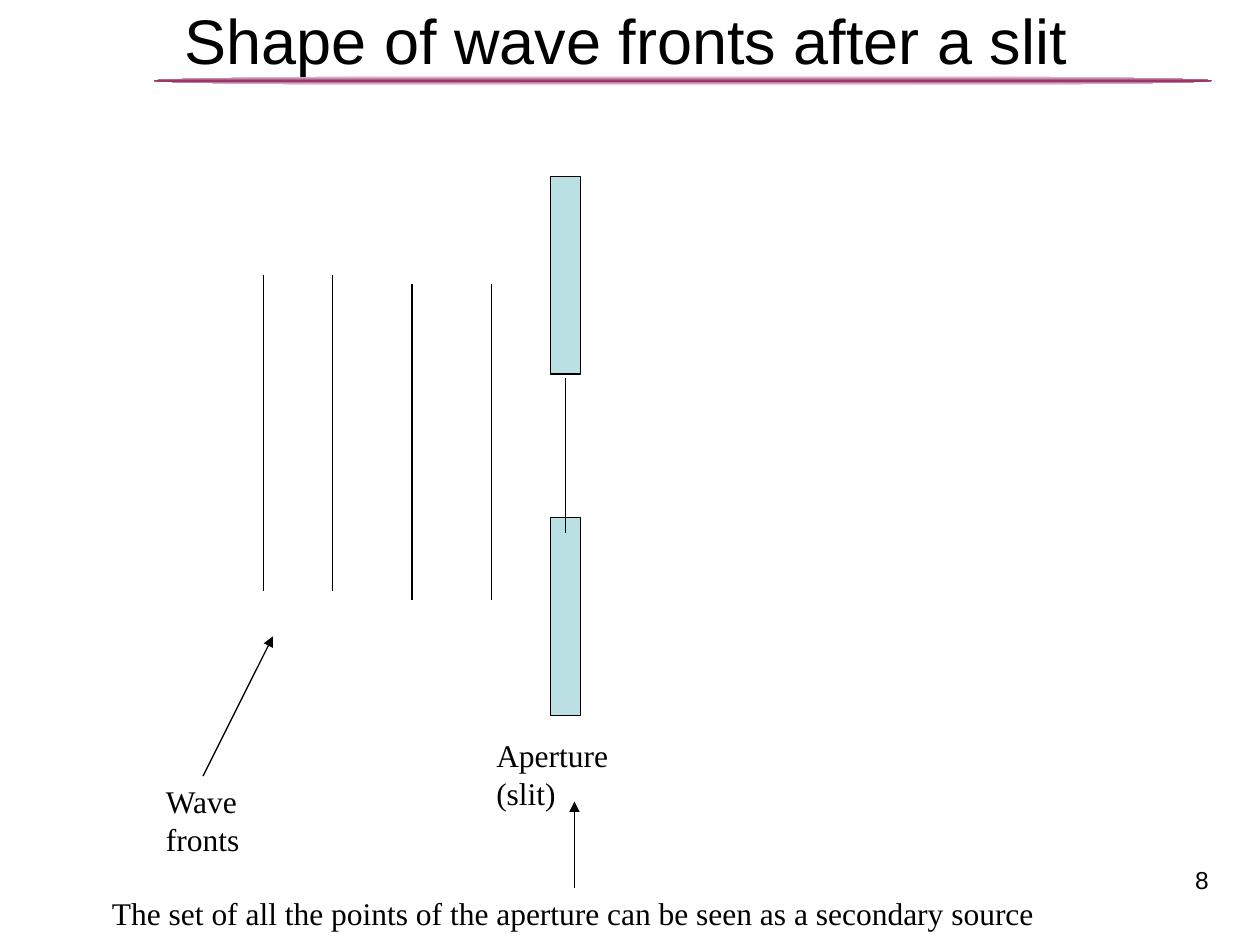
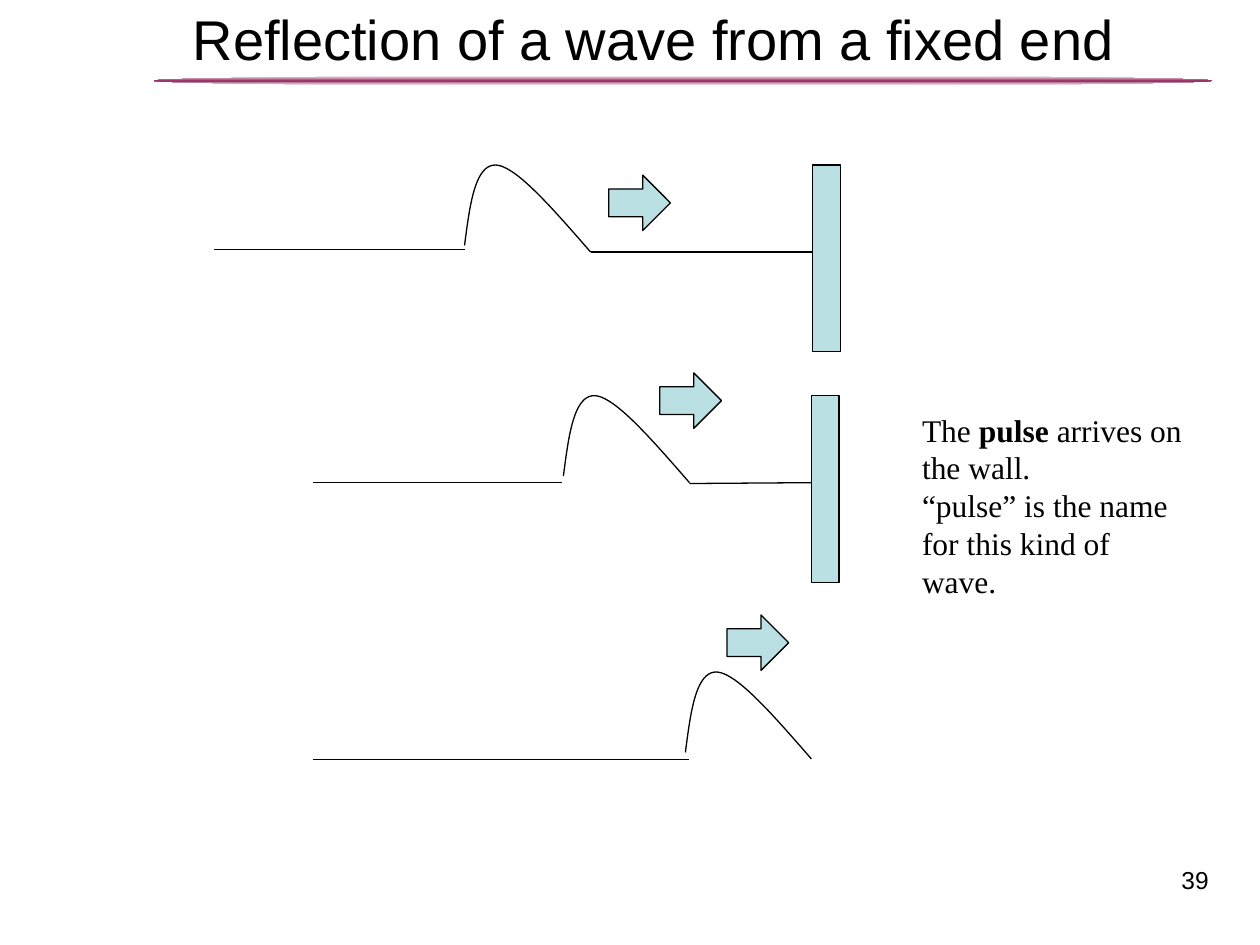
import copy
import pptx
import pptx.util
import pptx.dml.color
import pptx.enum.shapes
import pptx.enum.text
import lxml.etree
import pptx.oxml.ns

Pt = pptx.util.Pt
RGB = pptx.dml.color.RGBColor
KIND = pptx.enum.shapes.MSO_SHAPE
ALIGN = pptx.enum.text.PP_ALIGN
BLACK = RGB(0, 0, 0)
WHITE = RGB(255, 255, 255)
PLUM = RGB(0x99, 0x33, 0x66)
AQUA = RGB(0xBB, 0xE0, 0xE3)
SANS, SERIF = "Arial", "Times New Roman"

SLIT = {
    "title": "Shape of wave fronts after a slit",
    "place": (33.8, -2.9, 36),
    "page": "8",
    "fronts": [(150.5, 157), (190, 157), (235.5, 162), (281, 162)],
    "notes": [
        ("Aperture (slit)", 276.5, 416.9, 95),
        ("Wave fronts", 87.8, 443.5, 80),
        ("The set of all the points of the aperture can be seen as a secondary source",
         56.9, 507.6, 556),
    ],
    "arrows": [(116, 443.5, 156, 363.6), (328.3, 507.6, 328.3, 458)],
}
PULSE = {
    "title": "Reflection of a wave from a fixed end",
    "place": (49.7, -0.7, 32),
    "page": "39",
    "stages": [
        {"pulse": (265.5, 94.3), "rope": (122.4, 265.5, 142.6),
         "rest": (337.5, 144, 480, 144), "wall": 464.4, "arrow": (347.8, 100.1)},
        {"pulse": (322, 226.1), "rope": (178.6, 321.1, 275.8),
         "rest": (394, 276.3, 466.6, 275.8), "wall": 463.7, "arrow": (377, 213.1)},
        {"pulse": (391.7, 384), "rope": (178.6, 394, 434.2),
         "rest": None, "wall": None, "arrow": (415.4, 351.4)},
    ],
    "note": [[("The ", False), ("pulse", True), (" arrives on the wall.", False)],
             [("“pulse” is the name for this kind of wave.", False)]],
}
CURVES = [
    [(0, 46), (3, 22.5), (6, -0.5), (18, 0)],
    [(18, 0), (29.5, 0.7), (50.5, 25), (72, 49.7)],
]
STEPS = 20


def style(para, size, face, align=ALIGN.LEFT):
    para.alignment = align
    for run in para.runs:
        run.font.size = Pt(size)
        run.font.name = face
        run.font.color.rgb = BLACK


def write(slide, text, left, top, width, height, size, face, align=ALIGN.LEFT):
    box = slide.shapes.add_textbox(Pt(left), Pt(top), Pt(width), Pt(height))
    frame = box.text_frame
    frame.word_wrap = True
    frame.text = text
    style(frame.paragraphs[0], size, face, align)
    return frame


def line(slide, left, top, right, base, arrow=False):
    link = slide.shapes.add_connector(
        pptx.enum.shapes.MSO_CONNECTOR.STRAIGHT, Pt(left), Pt(top), Pt(right), Pt(base))
    link.line.color.rgb = BLACK
    link.line.width = Pt(0.75)
    if arrow:
        tail = lxml.etree.SubElement(link.line._get_or_add_ln(), pptx.oxml.ns.qn("a:tailEnd"))
        tail.set("type", "triangle")
    lxml.etree.SubElement(link._element.spPr, pptx.oxml.ns.qn("a:effectLst"))


def shape(slide, kind, left, top, width, height):
    item = slide.shapes.add_shape(kind, Pt(left), Pt(top), Pt(width), Pt(height))
    item.shadow.inherit = False
    item.fill.solid()
    item.fill.fore_color.rgb = AQUA
    item.line.color.rgb = BLACK
    item.line.width = Pt(0.75)
    return item


def rule(slide):
    band = shape(slide, KIND.OVAL, 87.8, 43.2, 604.8, 5.8)
    band.line.fill.background()
    band.fill.gradient()
    band.fill.gradient_angle = 90
    stops = band.fill.gradient_stops
    first = band._element.spPr.find(".//" + pptx.oxml.ns.qn("a:gs"))
    first.addnext(copy.deepcopy(first))
    stops = band.fill.gradient_stops
    for stop, place, color in zip(stops, (0, 0.5, 1), (WHITE, PLUM, WHITE)):
        stop.position = place
        stop.color.rgb = color


def start(deck, data):
    slide = deck.slides.add_slide(deck.slide_layouts[6])
    rule(slide)
    write(slide, data["page"], 530, 491, 167.8, 32.4, 14, SANS, ALIGN.RIGHT)
    left, top, size = data["place"]
    write(slide, data["title"], left, top, 648, 90, size, SANS, ALIGN.CENTER)
    return slide


def bend(ends, part):
    rest = 1 - part
    parts = (rest ** 3, 3 * rest ** 2 * part, 3 * rest * part ** 2, part ** 3)
    return tuple(sum(w * end[axis] for w, end in zip(parts, ends)) for axis in (0, 1))


def draw_pulse(slide, left, top):
    dots = [bend(ends, step / STEPS) for ends in CURVES for step in range(STEPS + 1)]
    dots = [(Pt(left + x), Pt(top + y)) for x, y in dots]
    path = slide.shapes.build_freeform(*dots[0])
    path.add_line_segments(dots[1:], close=False)
    wave = path.convert_to_shape()
    wave.shadow.inherit = False
    wave.fill.background()
    wave.line.color.rgb = BLACK
    wave.line.width = Pt(0.75)


def draw_slit(deck):
    slide = start(deck, SLIT)
    for left, top in SLIT["fronts"]:
        line(slide, left, top, left, top + 181)
    for top in (100.8, 295.9):
        shape(slide, KIND.RECTANGLE, 314.6, top, 17.3, 113)
    line(slide, 323.3, 216, 323.3, 304.6)
    for text, left, top, width in SLIT["notes"]:
        write(slide, text, left, top, width, 28.8, 18, SERIF)
    for ends in SLIT["arrows"]:
        line(slide, *ends, arrow=True)


def draw_fixed(deck):
    slide = start(deck, PULSE)
    for stage in PULSE["stages"]:
        left, right, level = stage["rope"]
        line(slide, left, level, right, level)
        if stage["rest"]:
            line(slide, *stage["rest"])
        if stage["wall"]:
            shape(slide, KIND.RECTANGLE, stage["wall"], stage["pulse"][1], 15.8, 106.6)
        draw_pulse(slide, *stage["pulse"])
        shape(slide, KIND.RIGHT_ARROW, *stage["arrow"], 35.3, 31.7)
    frame = write(slide, "", 519.8, 231.1, 164.2, 116.6, 18, SERIF)
    for index, parts in enumerate(PULSE["note"]):
        para = frame.add_paragraph() if index else frame.paragraphs[0]
        for text, bold in parts:
            run = para.add_run()
            run.text = text
            run.font.bold = bold
        style(para, 18, SERIF)


def main():
    deck = pptx.Presentation()
    deck.slide_width, deck.slide_height = Pt(720), Pt(540)
    draw_slit(deck)
    draw_fixed(deck)
    deck.save("out.pptx")


if __name__ == "__main__":
    main()
